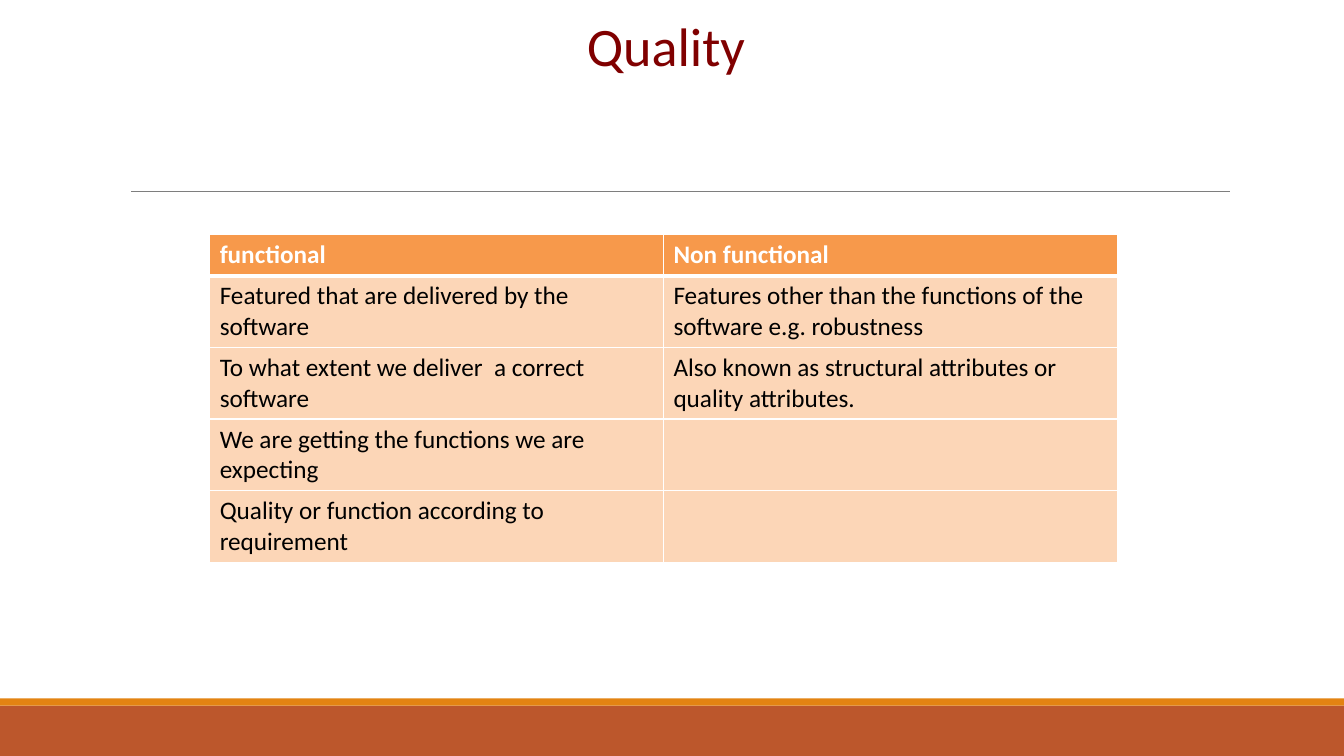
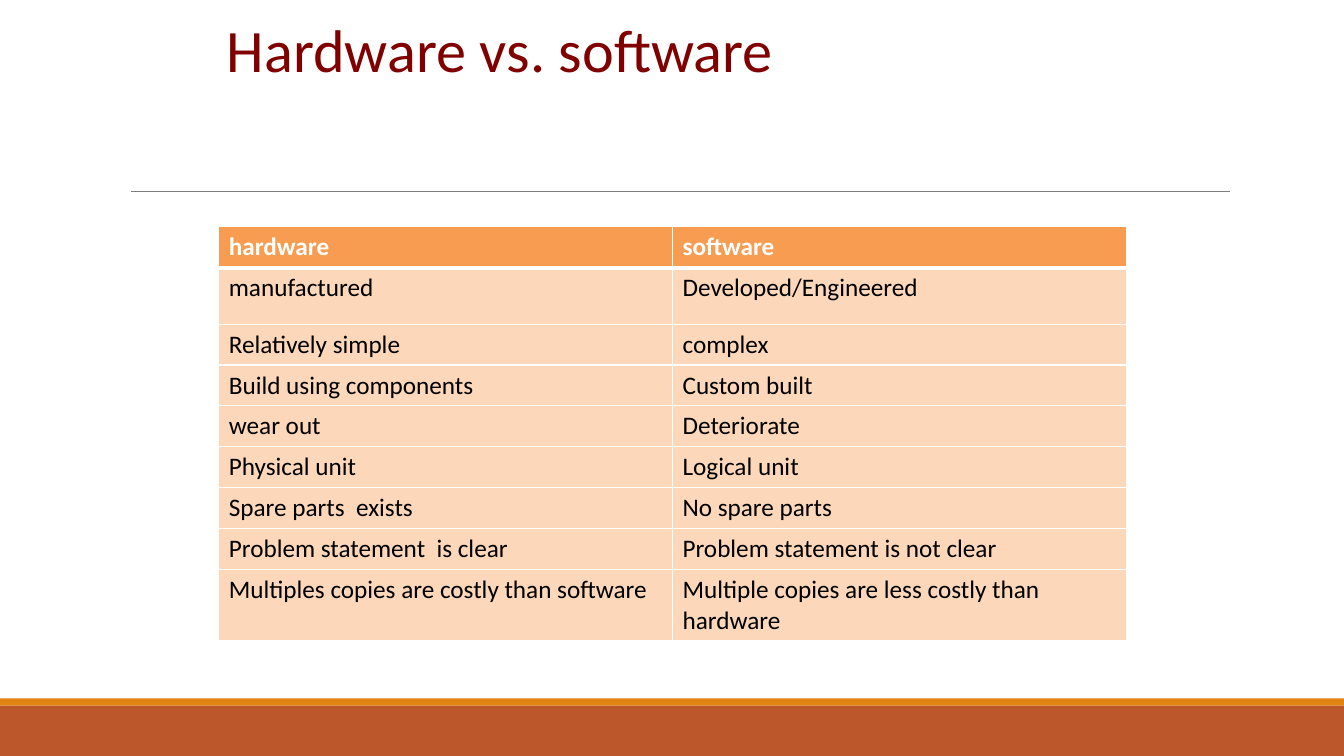
from dataclasses import dataclass

from lxml.etree import SubElement
from pptx import Presentation
from pptx.dml.color import RGBColor
from pptx.enum.shapes import MSO_CONNECTOR, MSO_SHAPE
from pptx.enum.text import MSO_ANCHOR, PP_ALIGN
from pptx.oxml.ns import qn
from pptx.util import Inches, Pt


@dataclass(frozen=True)
class Theme:
    font: str = "Calibri"
    title: str = "800000"
    footer: str = "BC572C"
    stripe: str = "E38312"
    rule: str = "7E7E7E"
    header: str = "F79646"
    body: str = "FCD5B5"
    dark: str = "000000"
    light: str = "FFFFFF"
    cell_size: float = 18
    thin: float = 1
    thick: float = 3


THEME = Theme()
WIDTH, HEIGHT = 13.33, 7.5
ROW, TALL_ROW, TWO_LINE_ROW = 0.4, 0.56, 0.71


def style_text(para, size, color, bold=False):
    for span in para.runs:
        font = span.font
        font.name, font.size, font.bold = THEME.font, Pt(size), bold
        font.color.rgb = RGBColor.from_string(color)


def add_band(page, top, height, color):
    band = page.shapes.add_shape(MSO_SHAPE.RECTANGLE, 0, Inches(top),
                                 Inches(WIDTH), Inches(height))
    band.shadow.inherit = False
    band.fill.solid()
    band.fill.fore_color.rgb = RGBColor.from_string(color)
    band.line.fill.background()


def add_frame(page):
    """Footer bands and the rule below the title."""
    add_band(page, 7, HEIGHT - 7, THEME.footer)
    add_band(page, 6.93, 0.07, THEME.stripe)
    rule = page.shapes.add_connector(MSO_CONNECTOR.STRAIGHT, Inches(1.3),
                                     Inches(1.9), Inches(12.2), Inches(1.9))
    rule.line.color.rgb = RGBColor.from_string(THEME.rule)
    rule.line.width = Pt(0.5)
    SubElement(rule._element.spPr, qn("a:effectLst"))


def add_title(page, text, box, size, align):
    title = page.shapes.add_textbox(*map(Inches, box))
    frame = title.text_frame
    frame.word_wrap = True
    frame.vertical_anchor = MSO_ANCHOR.TOP
    frame.margin_left = frame.margin_right = 0
    frame.margin_top = frame.margin_bottom = 0
    frame.text = text
    para = frame.paragraphs[0]
    para.alignment = align
    style_text(para, size, THEME.title)


def set_borders(cell, top, bottom):
    """White lines on all sides; widths of the top and bottom in points."""
    properties = cell._tc.get_or_add_tcPr()
    widths = {"L": THEME.thin, "R": THEME.thin, "T": top, "B": bottom}
    for side, width in widths.items():
        line = SubElement(properties, qn(f"a:ln{side}"), w=str(Pt(width)))
        fill = SubElement(line, qn("a:solidFill"))
        SubElement(fill, qn("a:srgbClr"), val=THEME.light)


def fill_cell(cell, color, opacity):
    cell.fill.solid()
    cell.fill.fore_color.rgb = RGBColor.from_string(color)
    tone = cell._tc.tcPr.find(qn("a:solidFill")).find(qn("a:srgbClr"))
    SubElement(tone, qn("a:alpha"), val=str(opacity * 1000))


def add_comparison(page, rows, heights, left, top, width, opacity):
    """Two-column table with a header row."""
    columns = len(rows[0])
    table = page.shapes.add_table(
        len(rows), columns, Inches(left), Inches(top),
        Inches(width), Inches(sum(heights))).table
    table.first_row = table.horz_banding = False
    for column in table.columns:
        column.width = Inches(width / columns)
    for index, (texts, height) in enumerate(zip(rows, heights)):
        table.rows[index].height = Inches(height)
        is_header = index == 0
        for number, text in enumerate(texts):
            cell = table.cell(index, number)
            set_borders(cell, THEME.thick if index == 1 else THEME.thin,
                        THEME.thick if is_header else THEME.thin)
            fill_cell(cell, THEME.header if is_header else THEME.body, opacity)
            cell.text_frame.text = text
            style_text(cell.text_frame.paragraphs[0], THEME.cell_size,
                       THEME.light if is_header else THEME.dark, is_header)


def add_page(deck):
    page = deck.slides.add_slide(deck.slide_layouts[6])
    page.background.fill.solid()
    page.background.fill.fore_color.rgb = RGBColor.from_string(THEME.light)
    add_frame(page)
    return page


def build_quality(deck):
    page = add_page(deck)
    rows = [
        ("functional", "Non functional"),
        ("Featured that are delivered by the software",
         "Features other than the functions of the software e.g. robustness"),
        ("To what extent we deliver  a correct software",
         "Also known as structural attributes or quality attributes."),
        ("We are getting the functions we are expecting", ""),
        ("Quality or function according to requirement", ""),
    ]
    add_comparison(page, rows, [ROW] + [TWO_LINE_ROW] * 4, 2.08, 2.33, 9, 97)
    add_title(page, "Quality", (2.19, 0.12, 8.83, 1.35), 38.7, PP_ALIGN.CENTER)


def build_hardware(deck):
    page = add_page(deck)
    rows = [
        ("hardware", "software"),
        ("manufactured", "Developed/Engineered"),
        ("Relatively simple", "complex"),
        ("Build using components", "Custom built"),
        ("wear out", "Deteriorate"),
        ("Physical unit", "Logical unit"),
        ("Spare parts  exists", "No spare parts"),
        ("Problem statement  is clear", "Problem statement is not clear"),
        ("Multiples copies are costly than software",
         "Multiple copies are less costly than hardware"),
    ]
    heights = [ROW, TALL_ROW] + [ROW] * 6 + [TWO_LINE_ROW]
    add_comparison(page, rows, heights, 2.17, 2.25, 9, 94)
    add_title(page, "Hardware vs. software", (2.25, 0.12, 8.83, 0.72), 43,
              PP_ALIGN.LEFT)


def main():
    deck = Presentation()
    deck.slide_width, deck.slide_height = Inches(WIDTH), Inches(HEIGHT)
    build_quality(deck)
    build_hardware(deck)
    deck.save("out.pptx")


if __name__ == "__main__":
    main()
